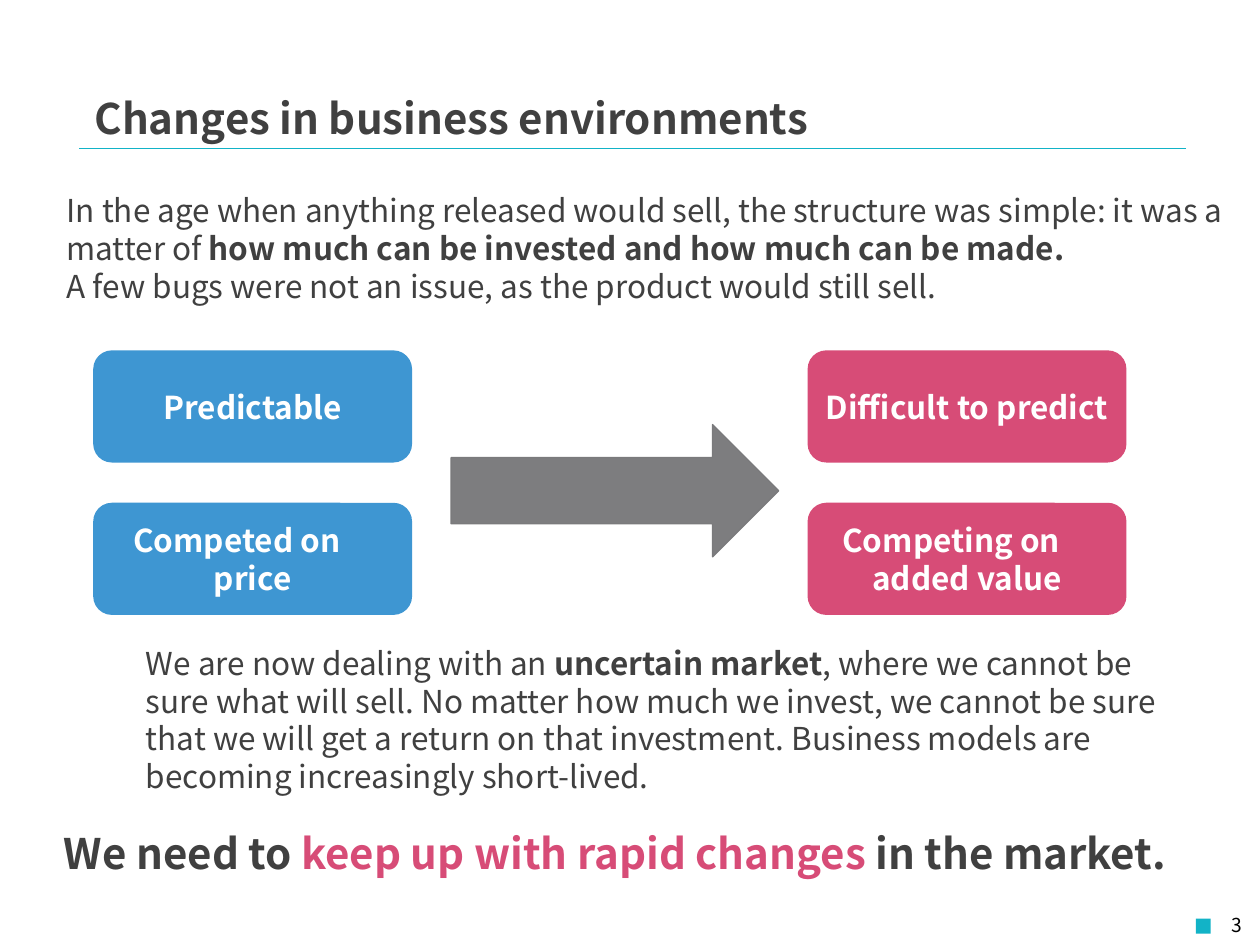
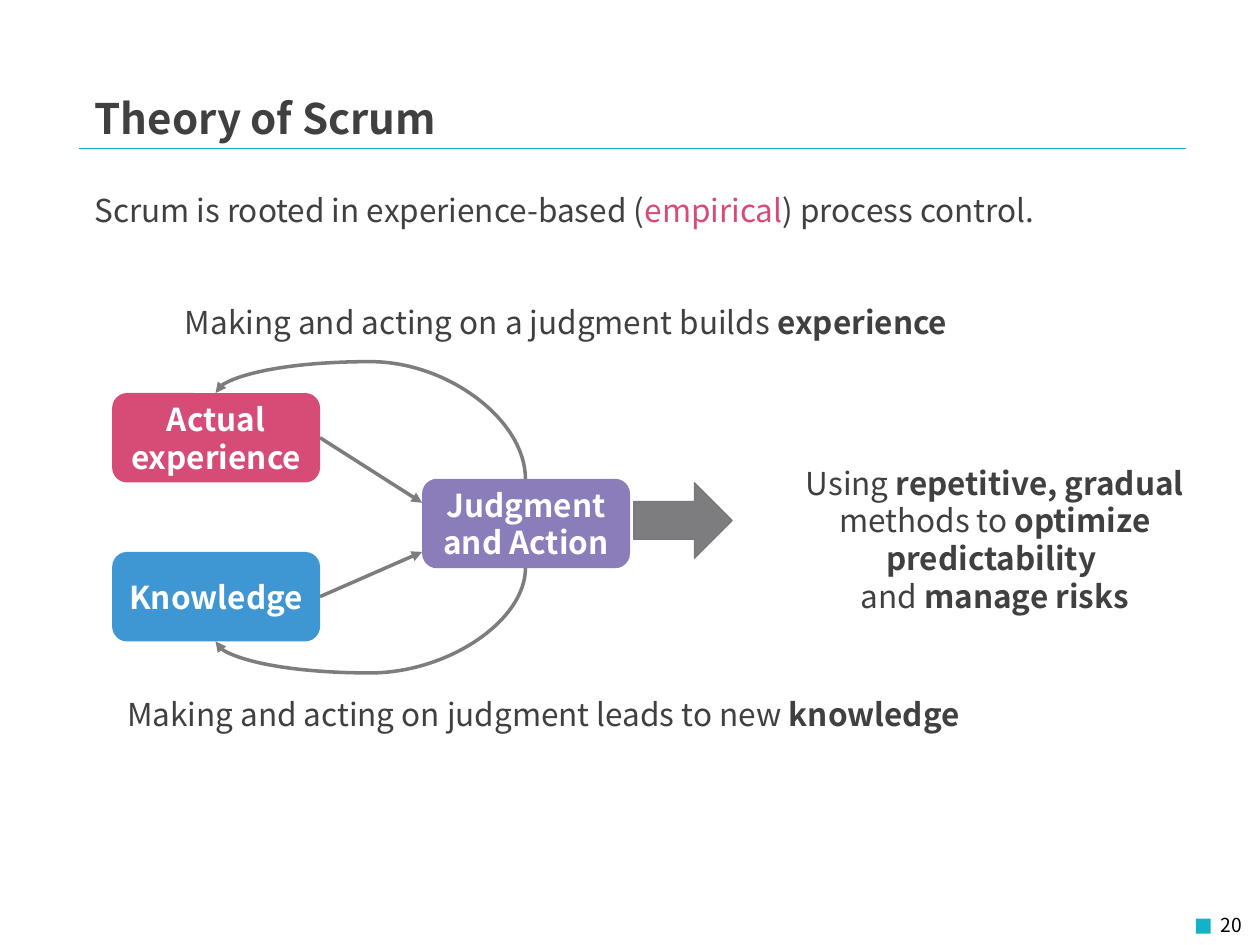
from typing import NamedTuple

from pptx import Presentation
from pptx.dml.color import RGBColor
from pptx.enum.shapes import MSO_CONNECTOR, MSO_SHAPE
from pptx.enum.text import MSO_ANCHOR, MSO_AUTO_SIZE, PP_ALIGN
from pptx.oxml.ns import qn
from pptx.util import Pt
from lxml.etree import SubElement

HEAD_FONT = "Noto Sans CJK JP"
BODY_FONT = "Noto Sans CJK KR"
TEXT, WHITE, BLACK = "404040", "FFFFFF", "000000"
BLUE, PINK, PURPLE = "3E96D2", "D74C77", "8B7CBA"
TEAL, GRAY, GRAY_EDGE = "12B3C7", "7D7D7F", "7A7A7C"
TOP, LEFT, BOTTOM, RIGHT = range(4)


class Span(NamedTuple):
    text: str
    bold: bool = None
    color: str = None


def rgb(value):
    return RGBColor.from_string(value)


def strong(text):
    return Span(text, bold=True)


def pink(text):
    return Span(text, color=PINK)


class Slides:
    def __init__(self):
        self.deck = Presentation()
        self.deck.slide_width, self.deck.slide_height = Pt(720), Pt(540)
        self.page = None

    def start(self, title, number):
        self.page = self.deck.slides.add_slide(self.deck.slide_layouts[5])
        self.line((45.4, 85), (677.5, 85), TEAL, 0.25)
        self.shape(MSO_SHAPE.RECTANGLE, (683.3, 524.9, 8.6, 8.6), TEAL)
        self.text((617, 518.4, 100, 21.6), [[Span(number)]], size=11, font=HEAD_FONT,
                  color=BLACK, align=PP_ALIGN.RIGHT)
        heading = self.page.shapes.title
        heading.left, heading.top, heading.width, heading.height = map(Pt, (46.8, 49, 459.4, 28))
        self.fill_text(heading, [[Span(title)]], size=24, font=HEAD_FONT, bold=True)

    def fill_text(self, box, paragraphs, size=18, font=BODY_FONT, color=TEXT, bold=False,
                  align=PP_ALIGN.LEFT, anchor=MSO_ANCHOR.TOP):
        frame = box.text_frame
        frame.word_wrap = True
        frame.auto_size = MSO_AUTO_SIZE.NONE
        frame.vertical_anchor = anchor
        for index, spans in enumerate(paragraphs):
            para = frame.add_paragraph() if index else frame.paragraphs[0]
            para.alignment = align
            para.font.name, para.font.size, para.font.bold = font, Pt(size), bold
            para.font.color.rgb = rgb(color)
            for span in spans:
                run = para.add_run()
                run.text = span.text
                if span.bold is not None:
                    run.font.bold = span.bold
                if span.color:
                    run.font.color.rgb = rgb(span.color)

    def text(self, area, paragraphs, **style):
        box = self.page.shapes.add_textbox(*map(Pt, area))
        self.fill_text(box, paragraphs, **style)

    def shape(self, kind, area, fill, edge=None):
        shape = self.page.shapes.add_shape(kind, *map(Pt, area))
        shape.shadow.inherit = False
        shape.fill.solid()
        shape.fill.fore_color.rgb = rgb(fill)
        if edge:
            shape.line.color.rgb = rgb(edge)
            shape.line.width = Pt(0.75)
        else:
            shape.line.fill.background()
        return shape

    def card(self, area, label, fill):
        card = self.shape(MSO_SHAPE.ROUNDED_RECTANGLE, area, fill)
        card.text_frame.margin_left = card.text_frame.margin_right = Pt(4)
        self.fill_text(card, [[Span(label)]], color=WHITE, bold=True,
                       align=PP_ALIGN.CENTER, anchor=MSO_ANCHOR.MIDDLE)
        return card

    def block_arrow(self, area):
        self.shape(MSO_SHAPE.RIGHT_ARROW, area, GRAY, GRAY_EDGE)

    def line(self, start, end, color=GRAY, width=2, kind=MSO_CONNECTOR.STRAIGHT):
        line = self.page.shapes.add_connector(kind, *map(Pt, start + end))
        line.line.color.rgb = rgb(color)
        line.line.width = Pt(width)
        SubElement(line._element.spPr, qn("a:effectLst"))
        return line

    def arrow(self, start, end, **style):
        arrow = self.line(start, end, **style)
        SubElement(arrow._element.spPr.find(qn("a:ln")), qn("a:tailEnd"), type="triangle")
        return arrow

    def loop(self, source, target, side, area, bend):
        loop = self.arrow((0, 0), (1, 1), kind=MSO_CONNECTOR.CURVE)
        loop.begin_connect(source, side)
        loop.end_connect(target, side)
        loop.left, loop.top, loop.width, loop.height = map(Pt, area)
        frame = loop._element.spPr.find(qn("a:xfrm"))
        frame.set("rot", str((270 if side == TOP else 90) * 60000))
        frame.set("flipH", "0")
        frame.set("flipV", "1" if side == TOP else "0")
        guides = loop._element.spPr.find(qn("a:prstGeom")).get_or_add_avLst()
        SubElement(guides, qn("a:gd"), name="adj1", fmla=f"val {bend}")


def business_changes(slides):
    slides.start("Changes in business environments", "3")
    slides.text((31, 105.8, 689, 94.3), [
        [Span("In the age when anything released would sell, the structure was simple: "
              "it was a matter of "),
         strong("how much can be invested and how much can be made.")],
        [Span("A few bugs were not an issue, as the product would still sell.")]])
    slides.text((76.3, 364.3, 616.3, 94.3), [
        [Span("We are now dealing with an "), strong("uncertain market"),
         Span(", where we cannot be sure what will sell. No matter how much we invest, "
              "we cannot be sure that we will get a return on that investment. "
              "Business models are becoming increasingly short-lived.")]])
    columns = [(53.3, BLUE, ("Predictable", "Competed on　price")),
               (461.5, PINK, ("Difficult to predict", "Competing on　added value"))]
    for left, fill, labels in columns:
        for row, label in enumerate(labels):
            slides.card((left, 200.2 + row * 87.1, 182.2, 64.1), label, fill)
    slides.block_arrow((257.8, 242.6, 187.2, 75.6))
    slides.text((0, 469.4, 702.7, 36), [
        [Span("We need to "), pink("keep up with rapid changes "), Span("in the market.")]],
        size=24, bold=True, align=PP_ALIGN.CENTER)


def scrum_theory(slides):
    slides.start("Theory of Scrum", "20")
    slides.text((46.8, 105.8, 617.8, 28.8), [
        [Span("Scrum is rooted in experience-based ("), pink("empirical"),
         Span(") process control.")]])
    card_size = (118.8, 51.1)
    experience = slides.card((64.1, 224.6) + card_size, "Actual experience", PINK)
    knowledge = slides.card((64.1, 315.4) + card_size, "Knowledge", BLUE)
    judgment = slides.card((241.2, 273.6) + card_size, "Judgment and Action", PURPLE)
    slides.loop(judgment, knowledge, BOTTOM, (190.8, 257, 41.8, 177.1), 143200)
    slides.loop(judgment, experience, TOP, (187.2, 160.6, 49, 177.1), 136700)
    for card, start, end in ((experience, 250.2, 287.3), (knowledge, 340.9, 315.4)):
        slides.arrow((182.9, start), (241.2, end)).begin_connect(card, RIGHT)
    slides.text((416.9, 261.4, 303.1, 72.7), [
        [Span("Using "), strong("repetitive, gradual "), Span("methods to "),
         strong("optimize predictability ")],
        [Span("and "), strong("manage risks")]], align=PP_ALIGN.CENTER)
    slides.text((65.5, 393.8, 504.7, 28.8), [
        [Span("Making and acting on judgment leads to new "), strong("knowledge")]])
    slides.block_arrow((362.2, 275.8, 56.2, 43.2))
    slides.text((98.6, 169.9, 483.1, 28.8), [
        [Span("Making and acting on a judgment builds "), strong("experience")]])


def main():
    slides = Slides()
    business_changes(slides)
    scrum_theory(slides)
    slides.deck.save("out.pptx")


if __name__ == "__main__":
    main()
